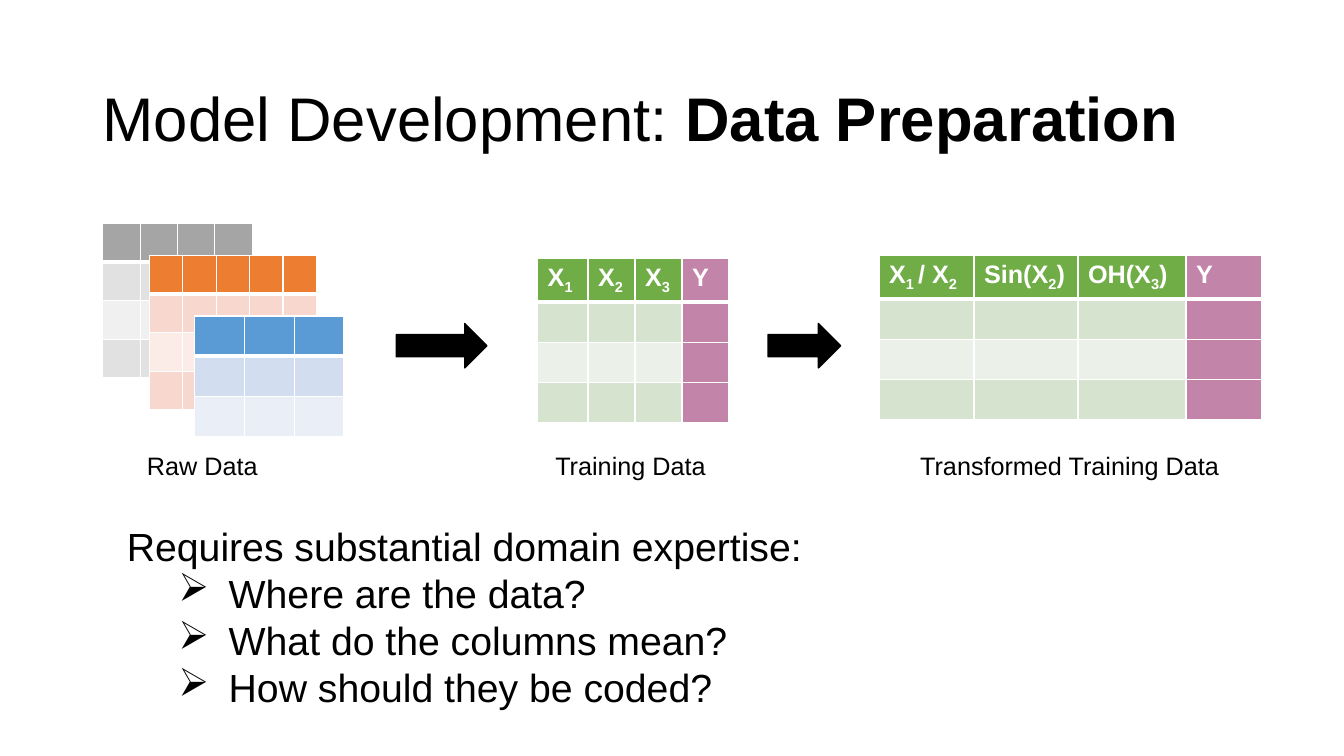
"""Build the slide about data preparation in model development."""
import pptx
import pptx.dml.color
import pptx.enum.shapes
import pptx.enum.text
import pptx.oxml
import pptx.oxml.ns
import pptx.util
import lxml.etree

RGBColor = pptx.dml.color.RGBColor
BLACK = RGBColor(0x00, 0x00, 0x00)
WHITE = RGBColor(0xFF, 0xFF, 0xFF)
MAUVE = RGBColor(0xC3, 0x84, 0xAA)
GRAYS = [RGBColor(0xA5, 0xA5, 0xA5), RGBColor(0xE1, 0xE1, 0xE1), RGBColor(0xF0, 0xF0, 0xF0)]
ORANGES = [RGBColor(0xED, 0x7D, 0x31), RGBColor(0xF8, 0xD7, 0xCE), RGBColor(0xFC, 0xEC, 0xE8)]
BLUES = [RGBColor(0x5B, 0x9B, 0xD5), RGBColor(0xD2, 0xDE, 0xEF), RGBColor(0xEA, 0xEF, 0xF7)]
GREENS = [RGBColor(0x70, 0xAD, 0x47), RGBColor(0xD5, 0xE3, 0xCF), RGBColor(0xEB, 0xF1, 0xE9)]

deck = pptx.Presentation()
deck.slide_width = pptx.util.Inches(13.33)
deck.slide_height = pptx.util.Inches(7.5)
page = deck.slides.add_slide(deck.slide_layouts[6])
COLUMN = deck.slide_width / 100
ROW = deck.slide_height / 100


def place(left, top, width, height):
    """Turn percent shares of the slide into lengths."""
    return [pptx.util.Emu(round(share * unit))
            for share, unit in zip((left, top, width, height), (COLUMN, ROW) * 2)]


def write(para, text, size, color=BLACK, bold=False):
    """Add one run of text and return it."""
    span = para.add_run()
    span.text = text
    span.font.name = "Arial"
    span.font.size = pptx.util.Pt(size)
    span.font.bold = bold
    span.font.color.rgb = color
    return span


RAW_ROW, HEADER_ROW, DATA_ROW = 5.1, 5.73, 5.33
tables = [
    (7.65, 29.6, [2.78] * 4, [RAW_ROW] * 4, GRAYS, []),
    (11.1, 33.8, [2.49] * 5, [RAW_ROW] * 4, ORANGES, []),
    (14.5, 41.8, [3.7] * 3, [DATA_ROW] * 3, BLUES, []),
    (40, 34.2, [3.75, 3.5, 3.5, 3.45], [HEADER_ROW] + [DATA_ROW] * 3, GREENS,
     ["X|1", "X|2", "X|3", "Y"]),
    (65.4, 33.8, [7.07, 7.74, 8.04, 5.65], [HEADER_ROW] + [DATA_ROW] * 3, GREENS,
     ["X|1 |/ X|2", "Sin(X|2|)", "OH(X|3|)", "Y"]),
]
for left, top, widths, heights, shades, headers in tables:
    frame = page.shapes.add_table(len(heights), len(widths),
                                  *place(left, top, sum(widths), sum(heights)))
    table = frame.table
    table.first_row = table.horz_banding = False
    for column, width in zip(table.columns, widths):
        column.width = round(width * COLUMN)
    for row, height in zip(table.rows, heights):
        row.height = round(height * ROW)
    for row_number in range(len(heights)):
        for column_number in range(len(widths)):
            cell = table.cell(row_number, column_number)
            properties = cell._tc.get_or_add_tcPr()
            for side in ("L", "R", "T", "B"):
                thick = (row_number, side) in ((0, "B"), (1, "T"))
                properties.append(pptx.oxml.parse_xml(
                    f'<a:ln{side} {pptx.oxml.ns.nsdecls("a")} w="{38100 if thick else 12700}">'
                    f'<a:solidFill><a:srgbClr val="{WHITE}"/></a:solidFill></a:ln{side}>'))
            is_target = headers and column_number == len(widths) - 1
            shade = shades[0 if row_number == 0 else 2 - row_number % 2]
            cell.fill.solid()
            cell.fill.fore_color.rgb = MAUVE if is_target else shade
            if headers and row_number == 0:
                para = cell.text_frame.paragraphs[0]
                for index, part in enumerate(headers[column_number].split("|")):
                    span = write(para, part, 18, WHITE, True)
                    if index % 2:
                        span._r.get_or_add_rPr().set("baseline", "-25000")
            else:
                cell.margin_top = cell.margin_bottom = 0

for left, width in ((29.48, 6.75), (57.15, 5.4)):
    arrow = page.shapes.add_shape(pptx.enum.shapes.MSO_SHAPE.RIGHT_ARROW,
                                  *place(left, 42.8, width, 5.87))
    arrow.shadow.inherit = False
    arrow.fill.solid()
    arrow.fill.fore_color.rgb = BLACK
    arrow.line.color.rgb = BLACK
    arrow.line.width = pptx.util.Pt(1)

title = page.shapes.add_textbox(*place(6.9, 6.4, 86.25, 19.33)).text_frame
title.word_wrap = True
title.vertical_anchor = pptx.enum.text.MSO_ANCHOR.MIDDLE
title.paragraphs[0].line_spacing = 0.9
write(title.paragraphs[0], "Model Development: ", 44)
write(title.paragraphs[0], "Data Preparation", 44, bold=True)

texts = [
    (10.2, 58.9, 9.83, 5.33, 18, ["Raw Data"]),
    (40.58, 58.9, 13.05, 5.33, 18, ["Training Data"]),
    (67.73, 58.9, 23.93, 5.33, 18, ["Transformed Training Data"]),
    (8.7, 68.4, 52.35, 26.53, 28,
     ["Requires substantial domain expertise:", "Where are the data?",
      "What do the columns mean?", "How should they be coded?"]),
]
for left, top, width, height, size, lines in texts:
    box = page.shapes.add_textbox(*place(left, top, width, height)).text_frame
    box.word_wrap = False
    box.auto_size = pptx.enum.text.MSO_AUTO_SIZE.SHAPE_TO_FIT_TEXT
    for number, line in enumerate(lines):
        para = box.add_paragraph() if number else box.paragraphs[0]
        if number:
            properties = para._p.get_or_add_pPr()
            properties.set("marL", str(round(7.58 * COLUMN)))
            properties.set("indent", str(round(-3.75 * COLUMN)))
            bullet = lxml.etree.SubElement(properties, pptx.oxml.ns.qn("a:buChar"))
            bullet.set("char", "➢")
        write(para, line, size)

deck.save("out.pptx")
